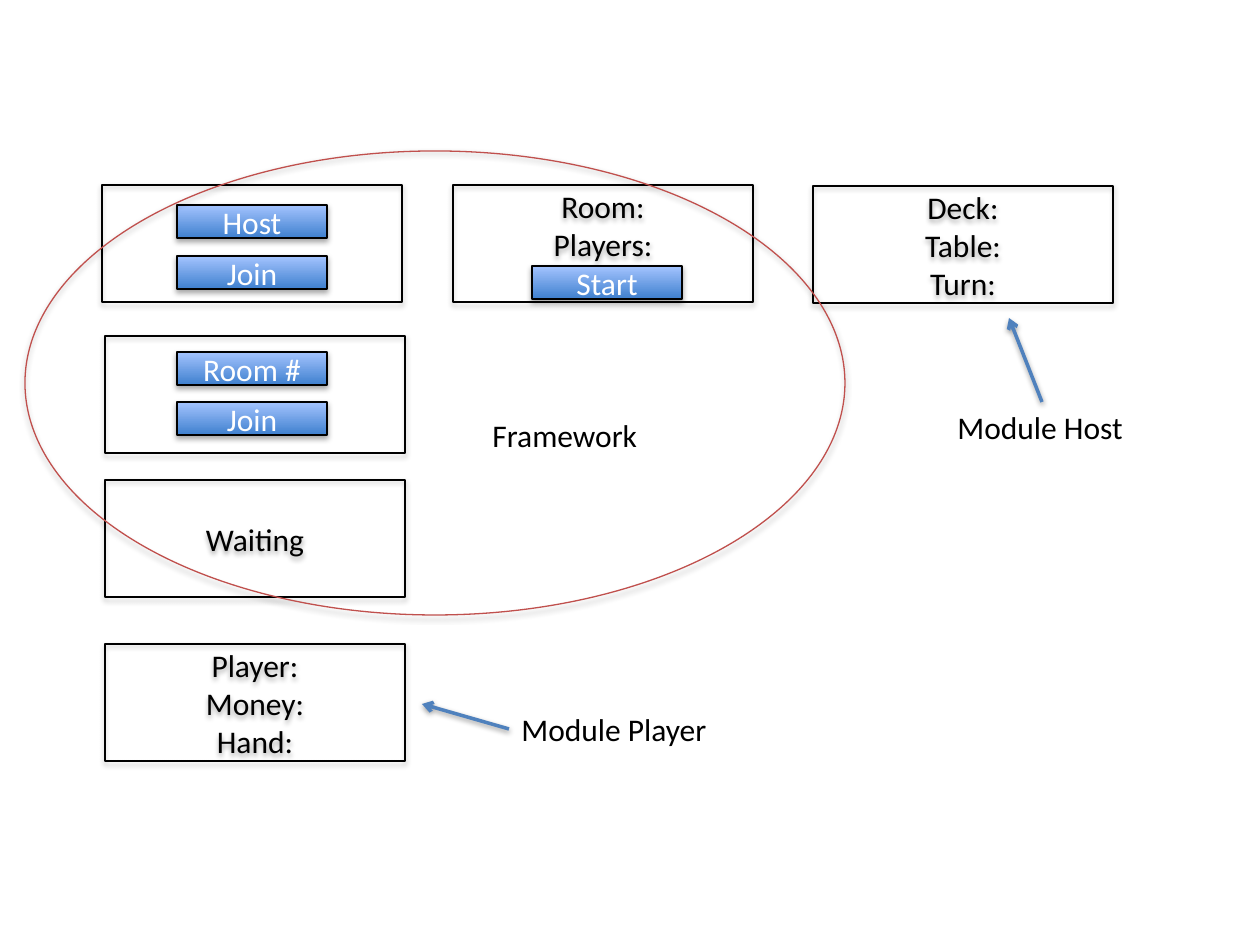
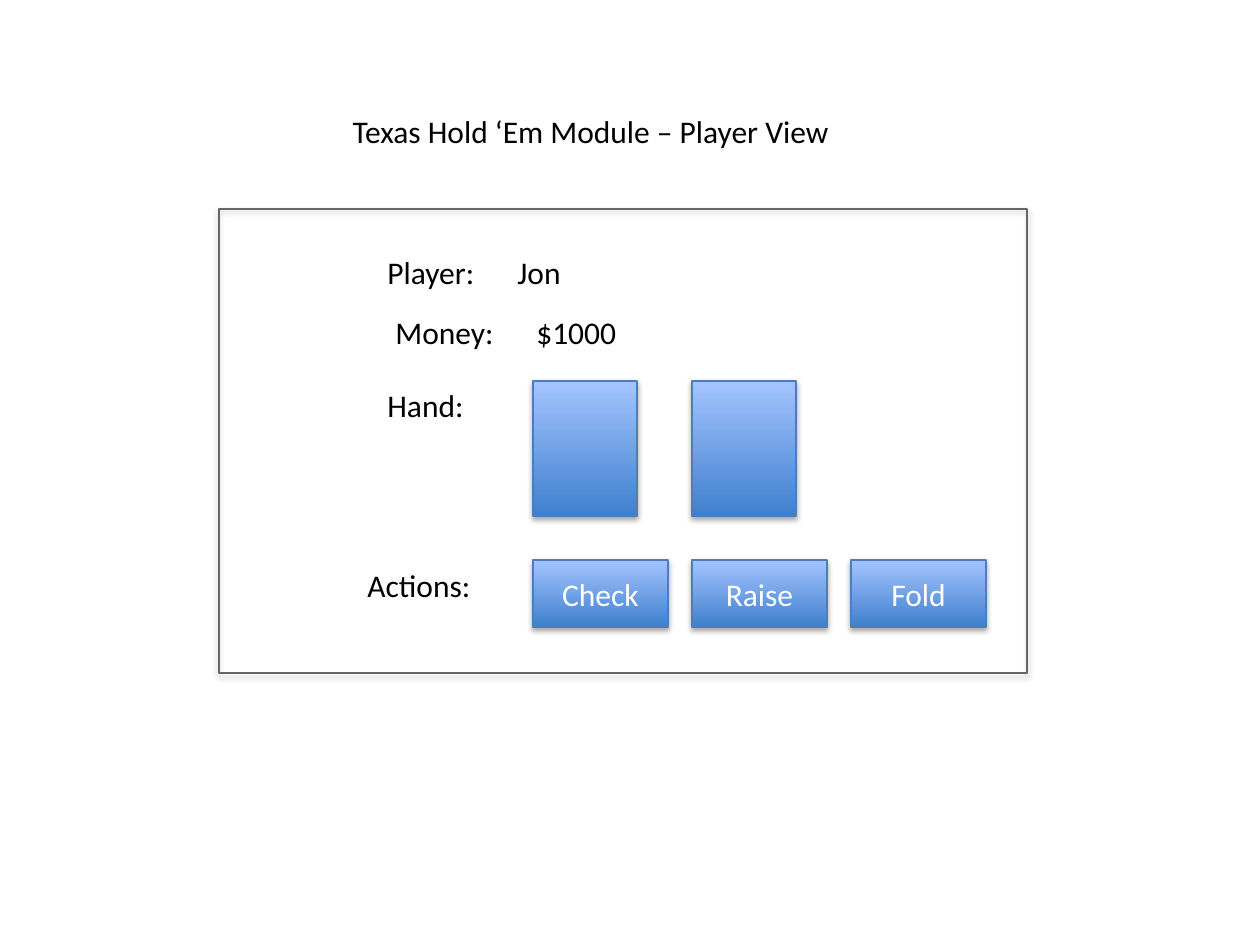
from dataclasses import dataclass

from lxml import etree
from pptx import Presentation
from pptx.dml.color import RGBColor
from pptx.enum.shapes import MSO_CONNECTOR, MSO_SHAPE
from pptx.enum.text import MSO_ANCHOR, MSO_AUTO_SIZE, PP_ALIGN
from pptx.oxml.ns import qn
from pptx.util import Pt

RECTANGLE = MSO_SHAPE.RECTANGLE
OVAL = MSO_SHAPE.OVAL
STRAIGHT = MSO_CONNECTOR.STRAIGHT
LEFT, CENTER = PP_ALIGN.LEFT, PP_ALIGN.CENTER
TOP, MIDDLE = MSO_ANCHOR.TOP, MSO_ANCHOR.MIDDLE
FIT_SHAPE = MSO_AUTO_SIZE.SHAPE_TO_FIT_TEXT

BLACK = RGBColor(0x00, 0x00, 0x00)
WHITE = RGBColor(0xFF, 0xFF, 0xFF)
RED = RGBColor(0xC0, 0x50, 0x4D)
GRAY = RGBColor(0x66, 0x66, 0x66)
ARROW_BLUE = RGBColor(0x4F, 0x81, 0xBD)
EDGE_BLUE = RGBColor(0x4B, 0x7E, 0xBC)
DEEP_BLUE = RGBColor(0x3F, 0x80, 0xCE)
LIGHT_BLUE = RGBColor(0xA4, 0xC4, 0xFF)

FONT = "Calibri"
FONT_SIZE = Pt(18)
PIXELS_PER_INCH = 126
EMU_PER_INCH = 914400
LABEL_HEIGHT = 51
LINE_HEIGHT = 38
INSET = 6
TITLE_ONLY, BLANK = 5, 6


@dataclass(frozen=True)
class Area:
    left: int
    top: int
    width: int
    height: int


@dataclass(frozen=True)
class Panel:
    left: int
    top: int
    text: str = ""
    spare_lines: int = 0


@dataclass(frozen=True)
class Button:
    area: Area
    text: str = ""
    edge: RGBColor = BLACK


@dataclass(frozen=True)
class Label:
    left: int
    top: int
    width: int
    text: str
    wrap: bool = False
    tab: int = 0


@dataclass(frozen=True)
class Arrow:
    start: tuple[int, int]
    end: tuple[int, int]


def emu(pixels: int) -> int:
    return round(pixels * EMU_PER_INCH / PIXELS_PER_INCH)


def bounds(area: Area) -> tuple[int, int, int, int]:
    return emu(area.left), emu(area.top), emu(area.width), emu(area.height)


def format_text(frame, text: str, color: RGBColor, alignment) -> None:
    frame.text = text
    for para in frame.paragraphs:
        para.alignment = alignment
        for span in para.runs:
            span.font.name = FONT
            span.font.size = FONT_SIZE
            span.font.color.rgb = color


def cast_shadow(effects, distance: int, opacity: int) -> None:
    shadow = etree.SubElement(
        effects, qn("a:outerShdw"), blurRad="40000", dist=str(distance),
        dir="5400000", rotWithShape="0")
    color = etree.SubElement(shadow, qn("a:srgbClr"), val=str(BLACK))
    etree.SubElement(color, qn("a:alpha"), val=str(opacity * 1000))


def draw_outline(page, kind, area: Area, edge: RGBColor):
    shape = page.shapes.add_shape(kind, *bounds(area))
    shape.fill.background()
    shape.line.color.rgb = edge
    shape.line.width = Pt(0.75)
    shape.shadow.inherit = False
    cast_shadow(shape._element.spPr.find(qn("a:effectLst")), 23000, 35)
    return shape


def draw_panel(page, panel: Panel) -> None:
    area = Area(panel.left, panel.top, 300, 117)
    shape = draw_outline(page, RECTANGLE, area, BLACK)
    if panel.text:
        frame = shape.text_frame
        frame.vertical_anchor = MIDDLE
        frame.margin_bottom = emu(INSET + panel.spare_lines * LINE_HEIGHT)
        format_text(frame, panel.text, BLACK, CENTER)


def draw_button(page, button: Button) -> None:
    shape = draw_outline(page, RECTANGLE, button.area, button.edge)
    shape.fill.gradient()
    shape.fill.gradient_angle = 90
    colors = (DEEP_BLUE, LIGHT_BLUE)
    for position, (stop, color) in enumerate(zip(shape.fill.gradient_stops, colors)):
        stop.position = position
        stop.color.rgb = color
    if button.text:
        shape.text_frame.vertical_anchor = MIDDLE
        format_text(shape.text_frame, button.text, WHITE, CENTER)


def fill_label(box, label: Label) -> None:
    frame = box.text_frame
    format_text(frame, label.text, BLACK, LEFT)
    frame.vertical_anchor = TOP
    frame.word_wrap = label.wrap
    frame.auto_size = FIT_SHAPE
    if label.tab:
        properties = frame.paragraphs[0]._p.get_or_add_pPr()
        tabs = etree.SubElement(properties, qn("a:tabLst"))
        etree.SubElement(tabs, qn("a:tab"), pos=str(emu(label.tab)), algn="l")


def draw_label(page, label: Label) -> None:
    area = Area(label.left, label.top, label.width, LABEL_HEIGHT)
    fill_label(page.shapes.add_textbox(*bounds(area)), label)


def draw_title(page, label: Label) -> None:
    title = page.shapes.title
    area = Area(label.left, label.top, label.width, LABEL_HEIGHT)
    title.left, title.top, title.width, title.height = bounds(area)
    fill_label(title, label)


def draw_arrow(page, arrow: Arrow) -> None:
    ends = [emu(value) for value in (*arrow.start, *arrow.end)]
    connector = page.shapes.add_connector(STRAIGHT, *ends)
    connector.line.color.rgb = ARROW_BLUE
    connector.line.width = Pt(2)
    properties = connector._element.spPr
    etree.SubElement(properties.find(qn("a:ln")), qn("a:tailEnd"), type="arrow")
    cast_shadow(etree.SubElement(properties, qn("a:effectLst")), 20000, 38)


def build_framework(deck) -> None:
    page = deck.slides.add_slide(deck.slide_layouts[BLANK])
    for panel in (
        Panel(102, 185),
        Panel(105, 336),
        Panel(105, 480, "Waiting"),
        Panel(105, 644, "Player:\nMoney:\nHand:"),
        Panel(453, 185, "Room:\nPlayers:", spare_lines=1),
        Panel(813, 186, "Deck:\nTable:\nTurn:"),
    ):
        draw_panel(page, panel)
    for left, top, text in (
        (177, 205, "Host"),
        (177, 256, "Join"),
        (177, 352, "Room #"),
        (177, 402, "Join"),
        (532, 266, "Start"),
    ):
        draw_button(page, Button(Area(left, top, 150, 33), text))
    draw_outline(page, OVAL, Area(25, 151, 820, 464), RED)
    for label in (
        Label(480, 410, 173, "Framework"),
        Label(945, 402, 193, "Module Host"),
        Label(509, 704, 213, "Module Player"),
    ):
        draw_label(page, label)
    draw_arrow(page, Arrow((1042, 402), (1009, 318)))
    draw_arrow(page, Arrow((509, 729), (422, 704)))


def build_player_view(deck) -> None:
    page = deck.slides.add_slide(deck.slide_layouts[TITLE_ONLY])
    draw_title(page, Label(340, 106, 512, "Texas Hold ‘Em Module – Player View"))
    draw_outline(page, RECTANGLE, Area(219, 209, 808, 464), GRAY)
    for label in (
        Label(375, 247, 451, "Player:\tJon", wrap=True, tab=130),
        Label(383, 307, 451, "Money:\t$1000", wrap=True, tab=141),
        Label(375, 380, 123, "Hand:", wrap=True),
        Label(355, 560, 144, "Actions:", wrap=True),
    ):
        draw_label(page, label)
    columns = [533 + 159 * index for index in range(3)]
    for left in columns[:2]:
        draw_button(page, Button(Area(left, 381, 104, 135), edge=EDGE_BLUE))
    for left, text in zip(columns, ("Check", "Raise", "Fold")):
        draw_button(page, Button(Area(left, 560, 135, 67), text, EDGE_BLUE))


def main() -> None:
    deck = Presentation()
    deck.slide_width = emu(1260)
    deck.slide_height = emu(945)
    build_framework(deck)
    build_player_view(deck)
    deck.save("out.pptx")


main()
